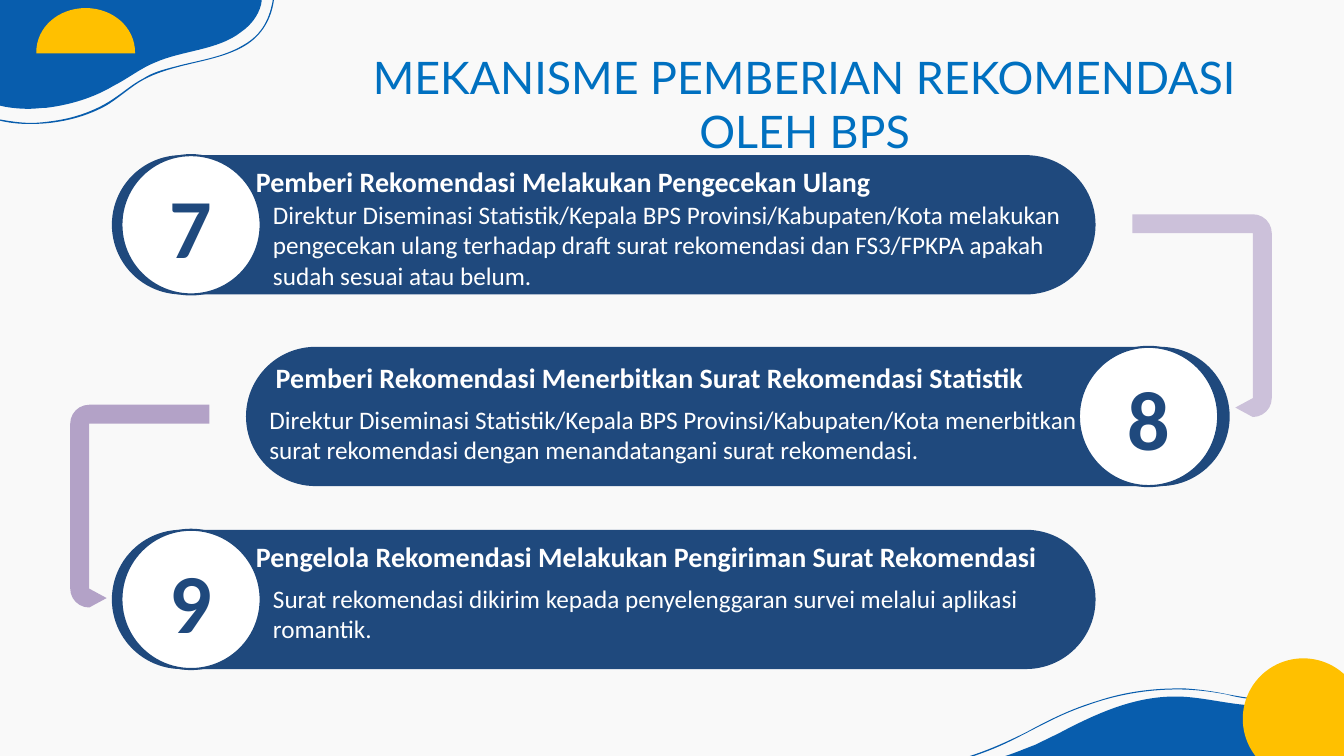
from lxml import etree
from pptx import Presentation
from pptx.dml.color import RGBColor
from pptx.enum.shapes import MSO_SHAPE
from pptx.enum.text import MSO_ANCHOR, MSO_AUTO_SIZE, PP_ALIGN
from pptx.oxml.ns import qn
from pptx.util import Cm, Pt

ELLIPSE = MSO_SHAPE.OVAL
PILL = MSO_SHAPE.ROUNDED_RECTANGLE
UTURN = MSO_SHAPE.U_TURN_ARROW
CENTER, LEFT = PP_ALIGN.CENTER, PP_ALIGN.LEFT
MIDDLE = MSO_ANCHOR.MIDDLE
GROW = MSO_AUTO_SIZE.SHAPE_TO_FIT_TEXT

PAPER = RGBColor(0xF9, 0xF9, 0xF9)
WAVE_BLUE = RGBColor(0x08, 0x5D, 0xAD)
GOLD = RGBColor(0xFF, 0xC0, 0x00)
NAVY = RGBColor(0x1F, 0x49, 0x7D)
WHITE = RGBColor(0xFF, 0xFF, 0xFF)
TITLE_BLUE = RGBColor(0x00, 0x70, 0xC0)
LILAC = RGBColor(0xCC, 0xC1, 0xDA)
PURPLE = RGBColor(0xB3, 0xA2, 0xC7)

BAR_WIDTH, BAR_HEIGHT = 24.79, 3.51
WAVE_UNIT = Cm(2.54) / 100

# Each outline is a list of chains: a start point, then cubic Bezier triples.
BOTTOM_WAVE = [
    [(1338, 683), (1334, 683), (1329, 684), (1325, 685), (1303, 688), (1283, 698),
     (1260, 700), (1257, 700), (1253, 700), (1249, 700), (1223, 700), (1197, 692),
     (1170, 691), (1168, 691), (1167, 691), (1166, 691), (1126, 691), (1091, 707),
     (1061, 722), (1050, 728), (1039, 733), (1027, 739), (1016, 743), (1005, 748),
     (994, 751), (993, 751), (992, 752), (992, 752)],
    [(1338, 752)],
]
BOTTOM_RIBBON = [
    [(1338, 674), (1328, 676), (1318, 678), (1309, 680), (1295, 684), (1282, 689),
     (1267, 692), (1262, 693), (1257, 693), (1252, 693), (1241, 693), (1230, 691),
     (1219, 689), (1205, 686), (1191, 684), (1176, 683), (1173, 683), (1170, 683),
     (1168, 683), (1141, 683), (1114, 687), (1090, 695), (1063, 703), (1041, 714),
     (1019, 726), (999, 736), (979, 745), (956, 752)],
    [(960, 752), (976, 747), (991, 741), (1005, 734), (1029, 722), (1051, 709),
     (1078, 700), (1105, 690), (1136, 684), (1168, 684), (1168, 684), (1168, 684),
     (1169, 684), (1185, 684), (1201, 686), (1217, 689), (1228, 692), (1240, 694),
     (1252, 694), (1254, 694), (1256, 694), (1258, 694), (1273, 693), (1287, 687),
     (1301, 683), (1313, 680), (1325, 677), (1338, 675)],
]
TOP_WAVE = [
    [(-3, -2)],
    [(-3, 104), (7, 107), (19, 108), (29, 108), (35, 108), (41, 107), (46, 107),
     (70, 104), (93, 97), (113, 85), (127, 78), (139, 68), (154, 62), (181, 50),
     (216, 50), (239, 32), (249, 25), (256, 16), (259, 5), (259, 3), (260, 1),
     (260, -2)],
]
TOP_RIBBON = [
    [(271, -2), (268, 17), (261, 34), (241, 45), (221, 57), (196, 60), (174, 66),
     (162, 69), (151, 72), (142, 78), (132, 83), (123, 91), (114, 97), (97, 109),
     (75, 117), (53, 120), (46, 121), (38, 122), (31, 122), (20, 122), (8, 120),
     (-3, 118)],
    [(-3, 119), (8, 122), (19, 123), (30, 123), (57, 123), (83, 117), (105, 105),
     (115, 99), (123, 92), (133, 85), (144, 77), (157, 72), (171, 68), (195, 61),
     (221, 58), (242, 46), (261, 35), (270, 17), (272, -2)],
]
HALF_SUN = [
    [(85, 8), (58, 8), (36, 27), (36, 52)],
    [(36, 53)],
    [(134, 53)],
    [(134, 52), (134, 27), (112, 8), (85, 8)],
]

# Number, bar (left, top), circle left, heading frame, heading, wrap, body frame, body
STEPS = [
    ("7", (2.82, 3.91), 3.06,
     (6.2, 4.03, 16.13, 1.12), "Pemberi Rekomendasi Melakukan Pengecekan Ulang", False,
     (6.63, 4.9, 20.98, 2.57),
     "Direktur Diseminasi Statistik/Kepala BPS Provinsi/Kabupaten/Kota melakukan "
     "pengecekan ulang terhadap draft surat rekomendasi dan FS3/FPKPA apakah sudah "
     "sesuai atau belum."),
    ("8", (6.2, 8.74), 27.19,
     (6.7, 8.97, 20.19, 1.12),
     "Pemberi Rekomendasi Menerbitkan Surat Rekomendasi Statistik", True,
     (6.54, 10.06, 20.98, 1.8),
     "Direktur Diseminasi Statistik/Kepala BPS Provinsi/Kabupaten/Kota menerbitkan "
     "surat rekomendasi dengan menandatangani surat rekomendasi."),
    ("9", (2.82, 13.35), 3.06,
     (6.2, 13.46, 21.31, 1.12),
     "Pengelola Rekomendasi Melakukan Pengiriman Surat Rekomendasi", True,
     (6.63, 14.58, 20.98, 1.8),
     "Surat rekomendasi dikirim kepada penyelenggaran survei melalui aplikasi "
     "romantik."),
]


def paint(shape, fill):
    shape.shadow.inherit = False
    shape.fill.solid()
    shape.fill.fore_color.rgb = fill
    shape.line.fill.background()


def add_outline(page, chains, fill):
    """Build the outline from straight segments, then bend the Bezier ones."""
    segments = []
    for chain in chains:
        segments.append(chain[:1])
        segments += [chain[i:i + 3] for i in range(1, len(chain), 3)]
    ends = [segment[-1] for segment in segments]
    left, top = (min(values) for values in zip(*ends))
    builder = page.shapes.build_freeform(*ends[0], scale=WAVE_UNIT)
    builder.add_line_segments(ends[1:], close=True)
    shape = builder.convert_to_shape()
    paint(shape, fill)
    lines = list(shape._element.iter(qn("a:lnTo")))
    for line, segment in zip(lines, segments[1:]):
        if len(segment) == 3:
            curve = etree.Element(qn("a:cubicBezTo"))
            for x, y in segment:
                etree.SubElement(curve, qn("a:pt"), x=str(x - left), y=str(y - top))
            line.getparent().replace(line, curve)


def add_preset(page, kind, frame, fill, adjustments=()):
    shape = page.shapes.add_shape(kind, *map(Cm, frame))
    paint(shape, fill)
    for i, value in enumerate(adjustments):
        shape.adjustments[i] = value
    return shape


def write(box, text, size, color, font="Calibri", bold=False, align=LEFT):
    para = box.text_frame.paragraphs[0]
    para.alignment = align
    span = para.add_run()
    span.text = text
    span.font.name = font
    span.font.size = Pt(size)
    span.font.bold = bold
    span.font.color.rgb = color


def add_text(page, frame, text, size, color, wrap=True, **style):
    box = page.shapes.add_textbox(*map(Cm, frame))
    box.text_frame.word_wrap = wrap
    box.text_frame.auto_size = GROW
    write(box, text, size, color, **style)


def add_step(page, number, corner, circle_left, heading_frame, heading, wrap, body_frame, body):
    add_preset(page, PILL, (*corner, BAR_WIDTH, BAR_HEIGHT), NAVY, [0.5])
    add_text(page, heading_frame, heading, 20, WHITE, wrap=wrap, bold=True)
    circle = add_preset(page, ELLIPSE, (circle_left, corner[1], BAR_HEIGHT, BAR_HEIGHT), WHITE)
    circle.line.color.rgb = NAVY
    circle.line.width = Pt(1.5)
    circle.text_frame.vertical_anchor = MIDDLE
    write(circle, number, 60, NAVY, bold=True, align=CENTER)
    add_text(page, body_frame, body, 18, WHITE)


def add_turn(page, left, top, rotation, fill):
    arrow = add_preset(page, UTURN, (left, top, 5.11, 3.51), fill,
                       [0.25, 0.068, 0.126, 0.437, 0.262])
    arrow.rotation = rotation
    return arrow


def main():
    deck = Presentation()
    deck.slide_width, deck.slide_height = Cm(33.87), Cm(19.05)
    page = deck.slides.add_slide(deck.slide_layouts[6])
    page.background.fill.solid()
    page.background.fill.fore_color.rgb = PAPER

    # Corner decorations
    add_outline(page, BOTTOM_WAVE, WAVE_BLUE)
    add_outline(page, BOTTOM_RIBBON, WAVE_BLUE)
    add_preset(page, ELLIPSE, (31.32, 16.59, 3.05, 3.05), GOLD)
    add_outline(page, TOP_WAVE, WAVE_BLUE)
    add_outline(page, TOP_RIBBON, WAVE_BLUE)
    add_outline(page, HALF_SUN, GOLD)

    # Steps and the arrows between them
    for step in STEPS:
        add_step(page, *step)
    add_turn(page, 27.74, 6.2, 90, LILAC)
    left_turn = add_turn(page, 0.97, 11, 270, PURPLE)
    left_turn._element.spPr.xfrm.set("flipH", "1")

    # Title
    add_text(page, (7.82, 1.14, 24.92, 1.63), "MEKANISME PEMBERIAN REKOMENDASI OLEH BPS",
             32, TITLE_BLUE, font="Lato", align=CENTER)
    deck.save("out.pptx")


if __name__ == "__main__":
    main()
